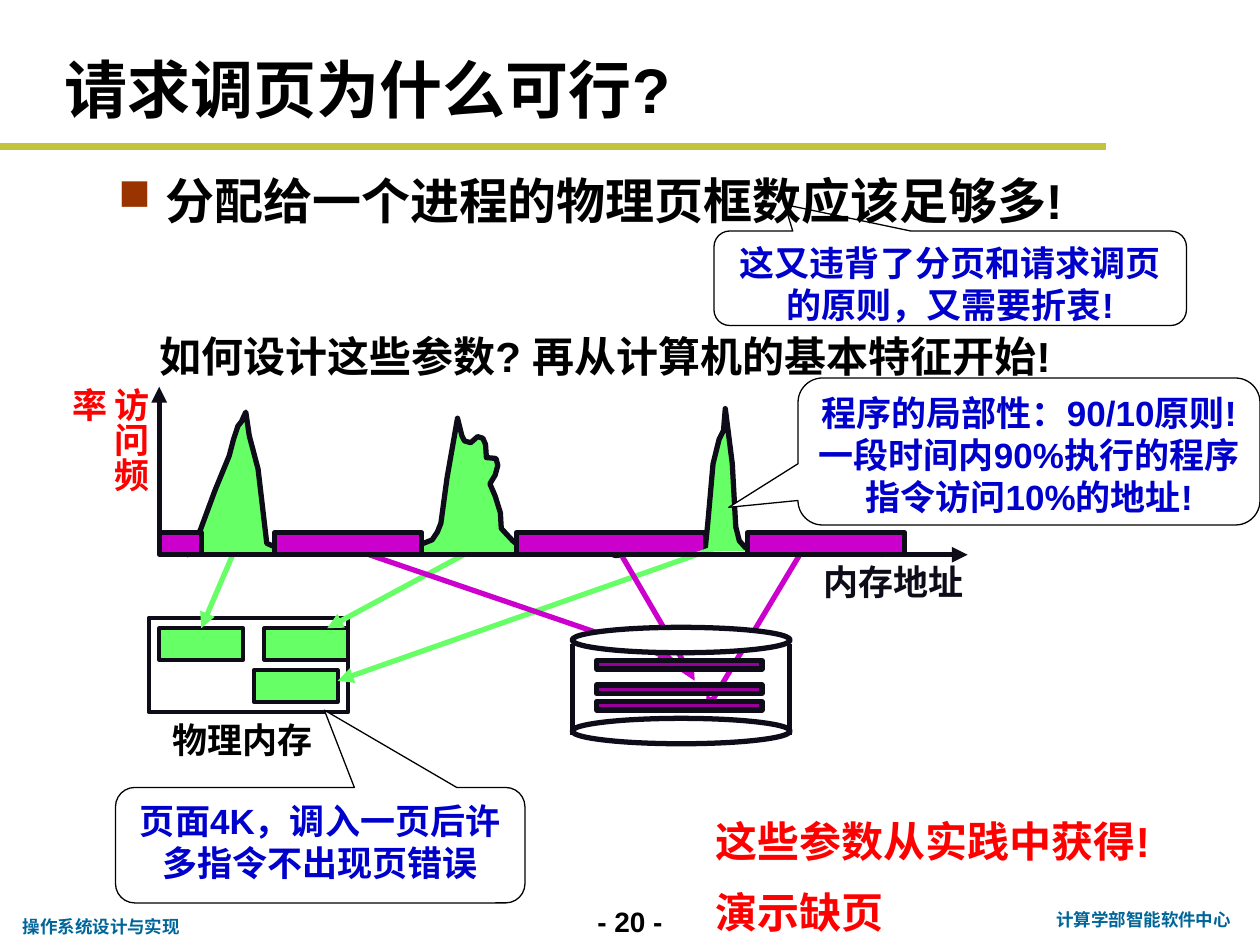
import dataclasses

import lxml.etree
import pptx
import pptx.dml.color
import pptx.enum.shapes
import pptx.enum.text
import pptx.oxml.ns
import pptx.util

Pt = pptx.util.Pt
qn = pptx.oxml.ns.qn
SHAPE = pptx.enum.shapes.MSO_SHAPE
ALIGN = pptx.enum.text.PP_ALIGN
ANCHOR = pptx.enum.text.MSO_ANCHOR


@dataclasses.dataclass(frozen=True)
class Theme:
    black: str = "000000"
    white: str = "FFFFFF"
    ink: str = "0F0C19"
    red: str = "FF0000"
    blue: str = "0000CC"
    footer: str = "006699"
    rule: str = "C1C43C"
    bullet: str = "993300"
    hot: str = "66FF66"
    cold: str = "CC00CC"
    record: str = "990099"
    font: str = "Arial"
    label_font: str = "Comic Neue"
    title_size: int = 36
    body_size: int = 28
    lead_size: int = 24
    note_size: int = 20
    page_size: int = 16
    footer_size: int = 10


def rgb(code):
    return pptx.dml.color.RGBColor.from_string(code)


class Canvas:
    def __init__(self, slide, theme):
        self.shapes = slide.shapes
        self.theme = theme

    def set_text(self, frame, text, size, color, align=None, font=None):
        frame.text = text
        paragraph = frame.paragraphs[0]
        paragraph.alignment = align
        for run in paragraph.runs:
            run.font.name = font or self.theme.font
            run.font.size = Pt(size)
            run.font.bold = True
            run.font.color.rgb = rgb(color)
        return paragraph

    def text(self, box, text, size, color, align=ALIGN.LEFT, anchor=ANCHOR.TOP,
             wrap=True, font=None, spacing=None, indent=0, hanging=0,
             bullet=None, vertical=False):
        label = self.shapes.add_textbox(*map(Pt, box))
        frame = label.text_frame
        frame.word_wrap = wrap
        frame.vertical_anchor = anchor
        if vertical:
            label.element.txBody.bodyPr.set("vert", "eaVert")
        paragraph = self.set_text(frame, text, size, color, align, font)
        properties = paragraph._p.get_or_add_pPr()
        if indent:
            properties.set("marL", str(Pt(indent)))
            properties.set("indent", str(-Pt(hanging)))
        if bullet:
            bullet_color = lxml.etree.SubElement(properties, qn("a:buClr"))
            lxml.etree.SubElement(bullet_color, qn("a:srgbClr"), val=self.theme.bullet)
            lxml.etree.SubElement(properties, qn("a:buSzPct"), val="90000")
            lxml.etree.SubElement(properties, qn("a:buChar"), char=bullet)
        if spacing:
            paragraph.line_spacing = spacing

    def paint(self, shape, fill, line, weight):
        shape.shadow.inherit = False
        if fill:
            shape.fill.solid()
            shape.fill.fore_color.rgb = rgb(fill)
        else:
            shape.fill.background()
        shape.line.color.rgb = rgb(line)
        shape.line.width = Pt(weight)
        return shape

    def shape(self, kind, box, fill, weight=3.0):
        shape = self.shapes.add_shape(kind, *map(Pt, box))
        return self.paint(shape, fill, self.theme.ink, weight)

    def callout(self, box, tip, text, fill=None):
        """Rounded callout; tip is its offset from the centre as a share of the size."""
        shape = self.shapes.add_shape(SHAPE.ROUNDED_RECTANGULAR_CALLOUT, *map(Pt, box))
        for index, share in enumerate(tip):
            shape.adjustments[index] = share
        self.paint(shape, fill, self.theme.black, 0.75)
        shape.text_frame.word_wrap = True
        shape.text_frame.vertical_anchor = ANCHOR.TOP
        self.set_text(shape.text_frame, text, self.theme.note_size, self.theme.blue, ALIGN.CENTER)

    def line(self, start, end, color, weight=3, arrow=False):
        connector = self.shapes.add_connector(
            pptx.enum.shapes.MSO_CONNECTOR.STRAIGHT, *map(Pt, start + end))
        connector.line.color.rgb = rgb(color)
        connector.line.width = Pt(weight)
        properties = connector.element.spPr
        if arrow:
            lxml.etree.SubElement(properties.find(qn("a:ln")), qn("a:tailEnd"), type="triangle")
        lxml.etree.SubElement(properties, qn("a:effectLst"))
        return connector

    def outline(self, points, fill):
        first, *rest = [(Pt(x), Pt(y)) for x, y in points]
        builder = self.shapes.build_freeform(*first)
        builder.add_line_segments(rest, close=False)
        self.paint(builder.convert_to_shape(), fill, self.theme.ink, 3)


ACCESS_PROFILE = [
    (108.5, 318), (107.5, 315.5), (114.5, 303), (123, 280), (131, 260.5), (133.5, 251),
    (136, 243.5), (138, 241), (140.5, 235.5), (142.5, 249), (147.5, 268), (152.5, 310.5),
    (156, 312), (163.5, 312.5), (173.5, 313), (186, 315.5), (197, 315), (220, 312),
    (242, 310.5), (247, 308.5), (250, 304), (252, 299), (255.5, 273), (261.5, 239),
    (264, 249), (265.5, 252), (269, 253), (273, 249.5), (276, 250.5), (277.5, 254),
    (278, 261.5), (283.5, 262), (284.5, 266), (283, 271.5), (280, 276.5), (283, 283.5),
    (286, 293), (286.5, 302), (293, 309), (299.5, 314.5), (321, 312.5), (342, 314.5),
    (352, 317.5), (383, 313), (403, 314), (404.5, 299), (407.5, 265), (411, 251),
    (413.5, 246), (414.5, 233.5), (418.5, 265), (420.5, 301), (422.5, 309), (426, 313),
    (437, 313), (451, 312), (458, 309.5), (485, 309), (499, 312), (503.5, 317),
    (507.5, 315.5), (517, 314)]


def draw_memory_diagram(canvas):
    theme = canvas.theme
    canvas.outline(ACCESS_PROFILE, theme.hot)
    *_, leftmost_region = [
        canvas.shape(SHAPE.RECTANGLE, (left, 304.5, width, 12.3), theme.cold)
        for left, width in ((157, 84), (295, 108), (427, 90), (91, 24))]

    canvas.shape(SHAPE.RECTANGLE, (85, 353, 114, 54), theme.white, 2.25)
    first_frame, *_ = [
        canvas.shape(SHAPE.RECTANGLE, (left, top, 48, 18), theme.hot, 2.25)
        for left, top in ((91, 359), (151, 359), (145, 383))]

    to_frame = canvas.line((133, 317), (115, 359), theme.hot, arrow=True)
    to_frame.end_connect(first_frame, 0)
    for start, end, color in (
            ((265, 317), (187, 359), theme.hot), ((415, 311), (193, 389), theme.hot),
            ((211, 317), (385, 376.5), theme.cold), ((355, 317), (397, 389), theme.cold),
            ((457, 317), (403, 407), theme.cold)):
        canvas.line(start, end, color, arrow=True)

    for top in (358.5, 410.5):
        canvas.shape(SHAPE.OVAL, (327, top, 124.5, 14.5), theme.white)
    for side in (327, 451):
        canvas.line((side, 368), (side, 420), theme.ink)
    for top in (391.5, 401, 377.5):
        canvas.shape(SHAPE.RECTANGLE, (341, top, 94.5, 4.8), theme.record)

    canvas.line((91, 317), (553, 317), theme.ink, arrow=True)
    access_axis = canvas.line((91, 311), (91, 221), theme.ink, arrow=True)
    access_axis.begin_connect(leftmost_region, 1)

    for left, top, label, color in (
            (463, 317, "内存地址", theme.ink), (91, 407, "物理内存", theme.black)):
        canvas.text((left, top, 95, 31), label, theme.note_size, color, ALIGN.CENTER,
                    ANCHOR.MIDDLE, wrap=False, font=theme.label_font)
    canvas.text((52.5, 214.5, 38, 90), "访问频率", theme.note_size, theme.red, vertical=True)


def main():
    presentation = pptx.Presentation()
    presentation.slide_width, presentation.slide_height = Pt(720), Pt(540)
    theme = Theme()
    canvas = Canvas(presentation.slides.add_slide(presentation.slide_layouts[6]), theme)

    canvas.text((324, 513.5, 72, 26.5), "- 20 -", theme.page_size, theme.black, ALIGN.CENTER)
    canvas.line((0, 84), (632, 84), theme.rule, 4)
    canvas.text((594, 516, 119, 19.5), "计算学部智能软件中心", theme.footer_size,
                theme.footer, ALIGN.CENTER)
    canvas.text((6, 520, 105, 19.5), "操作系统设计与实现", theme.footer_size,
                theme.footer, wrap=False)

    canvas.text((30, 24, 618, 53), "请求调页为什么可行?", theme.title_size, theme.black,
                anchor=ANCHOR.MIDDLE)
    canvas.text((60.5, 84, 623.5, 68.5), "分配给一个进程的物理页框数应该足够多!",
                theme.body_size, theme.black, spacing=1.3, indent=27, hanging=27, bullet="■")
    canvas.callout((408, 132, 270, 54), (-0.35, -0.78),
                   "这又违背了分页和请求调页的原则，又需要折衷!")
    canvas.text((48, 174, 594, 47.5), "如何设计这些参数? 再从计算机的基本特征开始!",
                theme.lead_size, theme.black, spacing=1.4, indent=36)

    draw_memory_diagram(canvas)

    canvas.callout((456, 216, 264, 84), (-0.65, 0.38),
                   "程序的局部性：90/10原则! 一段时间内90%执行的程序指令访问10%的地址!", theme.white)
    canvas.callout((66, 450, 234, 66), (0.01, -1.17),
                   "页面4K，调入一页后许多指令不出现页错误", theme.white)
    canvas.text((366, 451, 306, 88.5), "这些参数从实践中获得!演示缺页",
                theme.lead_size, theme.red, spacing=1.4, indent=36)

    presentation.save("out.pptx")


if __name__ == "__main__":
    main()
